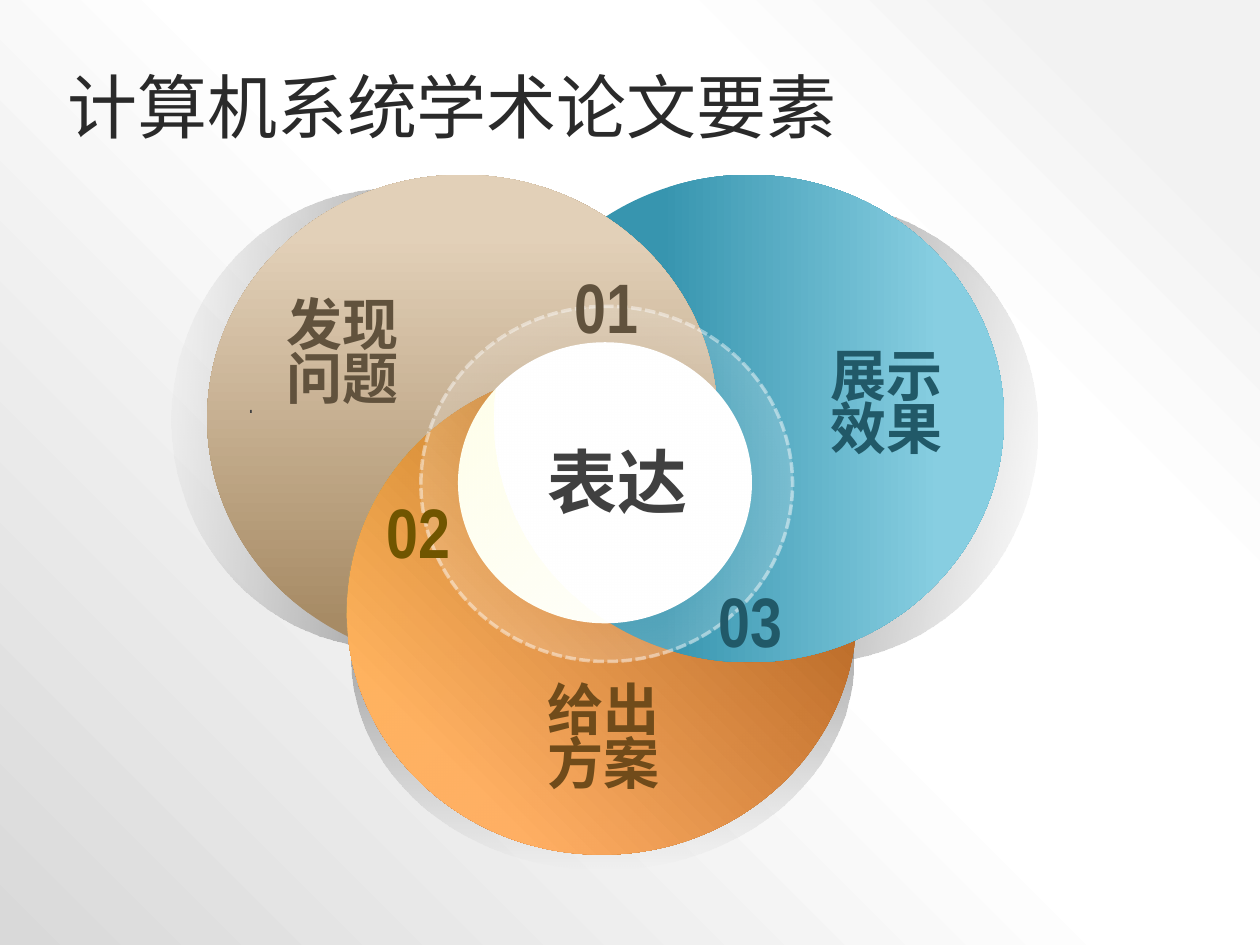
import math
from typing import Any, NamedTuple

import lxml.etree
import pptx
import pptx.dml.color
import pptx.enum.dml
import pptx.enum.shapes
import pptx.enum.text
import pptx.oxml.ns
import pptx.util

Pt = pptx.util.Pt
qn = pptx.oxml.ns.qn
ALIGN = pptx.enum.text.PP_ALIGN
CJK_FONT = "Noto Sans CJK SC"
RADIUS_X, RADIUS_Y = 145.8, 139.3
QUARTER = math.pi / 2


class Stop(NamedTuple):
    position: float
    color: str
    opacity: float = 100


class Gradient(NamedTuple):
    stops: list[Stop]
    angle: float = 0
    focus: tuple | None = None  # left, top, right, bottom in percent


class Circle(NamedTuple):
    x: float
    y: float


class Petal(NamedTuple):
    circle: Circle
    cutter: Circle
    gradient: Gradient


class Shadow(NamedTuple):
    left: float
    top: float
    width: float
    height: float
    rotation: float


class Label(NamedTuple):
    lines: list[str]
    left: float
    top: float
    width: float
    height: float
    color: str
    size: float = 40
    spacing: float = 1.0
    font: str = "Arial Narrow"
    bold: bool = True
    align: Any = ALIGN.CENTER


class Backdrop(NamedTuple):
    fill: Any
    element: Any


def set_all(target: Any, values: dict) -> None:
    for name, value in values.items():
        setattr(target, name, value)


def rgb(color: str) -> pptx.dml.color.RGBColor:
    return pptx.dml.color.RGBColor.from_string(color)


def add_xml(parent: Any, tag: str, **attributes: Any) -> Any:
    values = {name: str(value) for name, value in attributes.items()}
    return lxml.etree.SubElement(parent, qn(tag), values)


def fill_gradient(owner: Any, gradient: Gradient) -> None:
    owner.fill.gradient()
    node = next(owner.element.iter(qn("a:gradFill")))
    for child in list(node):
        node.remove(child)
    node.set("rotWithShape", "1")
    stops = add_xml(node, "a:gsLst")
    for stop in gradient.stops:
        entry = add_xml(stops, "a:gs", pos=int(stop.position * 1000))
        color = add_xml(entry, "a:srgbClr", val=stop.color)
        if stop.opacity < 100:
            add_xml(color, "a:alpha", val=int(stop.opacity * 1000))
    if gradient.focus:
        circle = add_xml(node, "a:path", path="circle")
        sides = {side: share * 1000 for side, share in zip("ltrb", gradient.focus)}
        add_xml(circle, "a:fillToRect", **sides)
    else:
        add_xml(node, "a:lin", ang=int(gradient.angle * 60000), scaled=0)


def style_shape(shape: Any, fill: Gradient | str) -> None:
    shape.shadow.inherit = False
    shape.line.fill.background()
    if isinstance(fill, Gradient):
        fill_gradient(shape, fill)
    else:
        shape.fill.solid()
        shape.fill.fore_color.rgb = rgb(fill)


def add_ellipse(group: Any, left: float, top: float, width: float, height: float,
                fill: Gradient | str) -> Any:
    oval = pptx.enum.shapes.MSO_SHAPE.OVAL
    shape = group.shapes.add_shape(oval, Pt(left), Pt(top), Pt(width), Pt(height))
    style_shape(shape, fill)
    return shape


def arc_curves(circle: Circle, start: float, end: float) -> list[list[tuple]]:
    """Split an arc at the quarter turns; give two handles and an end for each part."""
    low, high = sorted((start, end))
    turns = range(math.ceil(low / QUARTER), math.floor(high / QUARTER) + 1)
    angles = sorted([low, *(turn * QUARTER for turn in turns), high], reverse=start > end)
    curves = []
    for first, last in zip(angles, angles[1:]):
        reach = 4 / 3 * math.tan((last - first) / 4)
        curves.append([
            (Pt(circle.x + RADIUS_X * (math.cos(angle) - pull * math.sin(angle))),
             Pt(circle.y + RADIUS_Y * (math.sin(angle) + pull * math.cos(angle))))
            for angle, pull in ((first, reach), (last, -reach), (last, 0))])
    return curves


def add_petal(group: Any, petal: Petal) -> None:
    """Draw a circle with the part under its cutter taken away."""
    across = (petal.cutter.x - petal.circle.x) / RADIUS_X
    down = (petal.cutter.y - petal.circle.y) / RADIUS_Y
    toward = math.atan2(down, across)
    half = math.acos(math.hypot(across, down) / 2)
    curves = arc_curves(petal.circle, toward + half, toward + 2 * math.pi - half)
    curves += arc_curves(petal.cutter, toward + math.pi + half, toward + math.pi - half)
    builder = group.shapes.build_freeform(*curves[-1][-1])
    builder.add_line_segments([curve[-1] for curve in curves], close=True)
    shape = builder.convert_to_shape()
    # Bend each straight segment into its curve
    for segment, curve in zip(list(shape.element.iter(qn("a:lnTo"))), curves):
        bend = lxml.etree.Element(qn("a:cubicBezTo"))
        for x, y in curve:
            add_xml(bend, "a:pt", x=x - shape.left, y=y - shape.top)
        segment.getparent().replace(segment, bend)
    style_shape(shape, petal.gradient)


def add_span(para: Any, text: str, font: str, size: float, color: str, bold: bool) -> None:
    span = para.add_run()
    span.text = text
    set_all(span.font, {"name": font, "size": Pt(size), "bold": bold})
    span.font.color.rgb = rgb(color)
    add_xml(span.font._element, "a:ea", typeface=CJK_FONT)


def add_label(group: Any, label: Label) -> None:
    box = group.shapes.add_textbox(*map(Pt, label[1:5]))
    set_all(box.text_frame, {"word_wrap": True,
                             "auto_size": pptx.enum.text.MSO_AUTO_SIZE.SHAPE_TO_FIT_TEXT})
    for index, line in enumerate(label.lines):
        para = box.text_frame.add_paragraph() if index else box.text_frame.paragraphs[0]
        set_all(para, {"alignment": label.align, "line_spacing": label.spacing})
        add_span(para, line, label.font, label.size, label.color, label.bold)


LEFT, RIGHT, BOTTOM = Circle(264.2, 239.2), Circle(427.9, 239.2), Circle(343.9, 349.1)
BACKDROP = Gradient([Stop(10, "F2F2F2"), Stop(28, "FFFFFF"), Stop(48, "FFFFFF"),
                     Stop(100, "D9D9D9")], focus=(100, 0, 0, 100))
SHADE = Gradient([Stop(0, "4C4C4C"), Stop(100, "808080", 0)], 90)
HALO = Gradient([Stop(0, "FFFFFF", 0), Stop(100, "FFFFFF", 26)], focus=(50, 50, 50, 50))
SHADOWS = [Shadow(92.2, 113.6, 262, 250.6, 93.8), Shadow(336.2, 121.7, 262, 250.6, 279.2),
           Shadow(200.9, 257, 287, 239.8, 0)]
PETALS = [
    Petal(BOTTOM, RIGHT, Gradient([Stop(18, "B3621F"), Stop(81, "FFAC61")], 135)),
    Petal(RIGHT, LEFT, Gradient([Stop(14, "3795AF"), Stop(84, "87CEE1")], 0)),
    Petal(LEFT, BOTTOM, Gradient([Stop(3, "A78B65"), Stop(87, "E2D0B8")], 270)),
]
GLOW = Petal(BOTTOM, RIGHT, Gradient([Stop(0, "FFFFFF", 0), Stop(100, "FFFF00", 12)], 225))
NUMBER, CAPTION = (66.2, 47.5), (121, 69.1)
LABELS = [
    Label(["表达"], 276.1, 247, 153.4, 47.5, "404040"),
    Label(["01"], 313.5, 146.9, *NUMBER, "61523D"),
    Label(["02"], 205.9, 275.4, *NUMBER, "705500"),
    Label(["03"], 395.6, 326.2, *NUMBER, "215968"),
    Label(["发现", "问题"], 135.4, 169.2, *CAPTION, "61523D", 32, 0.8),
    Label(["."], 134.4, 218.9, 112.3, 24.5, "404040", 14, font="TeX Gyre Adventor",
          bold=False, align=ALIGN.LEFT),
    Label(["展示", "效果"], 446, 198.2, *CAPTION, "215968", 32, 0.8),
    Label(["给出", "方案"], 284.4, 389.5, *CAPTION, "704B1A", 32, 0.8),
]


def main() -> None:
    deck = pptx.Presentation()
    set_all(deck, {"slide_width": Pt(720), "slide_height": Pt(540)})
    page = deck.slides.add_slide(deck.slide_layouts[5])
    fill_gradient(Backdrop(page.background.fill, page.element), BACKDROP)

    # Title
    title = page.shapes.title
    set_all(title, {"left": Pt(31.3), "top": Pt(19.7), "width": Pt(648), "height": Pt(68)})
    set_all(title.text_frame, {"vertical_anchor": pptx.enum.text.MSO_ANCHOR.BOTTOM,
                               "margin_bottom": Pt(3),
                               "auto_size": pptx.enum.text.MSO_AUTO_SIZE.NONE})
    para = title.text_frame.paragraphs[0]
    set_all(para, {"alignment": ALIGN.LEFT, "line_spacing": 0.9})
    add_span(para, "计算机系统学术论文要素", CJK_FONT, 40, "2A2A2A", False)

    # Shadows and overlapping petals
    diagram = page.shapes.add_group_shape()
    for shadow in SHADOWS:
        add_ellipse(diagram, *shadow[:4], SHADE).rotation = shadow.rotation
    for petal in PETALS:
        add_petal(diagram, petal)

    # White hub, glow and dashed ring
    add_ellipse(diagram, 261.7, 195.6, 168, 160.6, "FFFFFF")
    add_petal(diagram, GLOW)
    ring = add_ellipse(diagram, 240.5, 175, 212.4, 203, HALO)
    ring.line.color.rgb = rgb("FFFFFF")
    set_all(ring.line, {"width": Pt(2),
                        "dash_style": pptx.enum.dml.MSO_LINE_DASH_STYLE.SQUARE_DOT})
    add_xml(next(ring.line._ln.iter(qn("a:srgbClr"))), "a:alpha", val=43000)

    # Texts
    for label in LABELS:
        add_label(diagram, label)
    deck.save("out.pptx")


if __name__ == "__main__":
    main()
